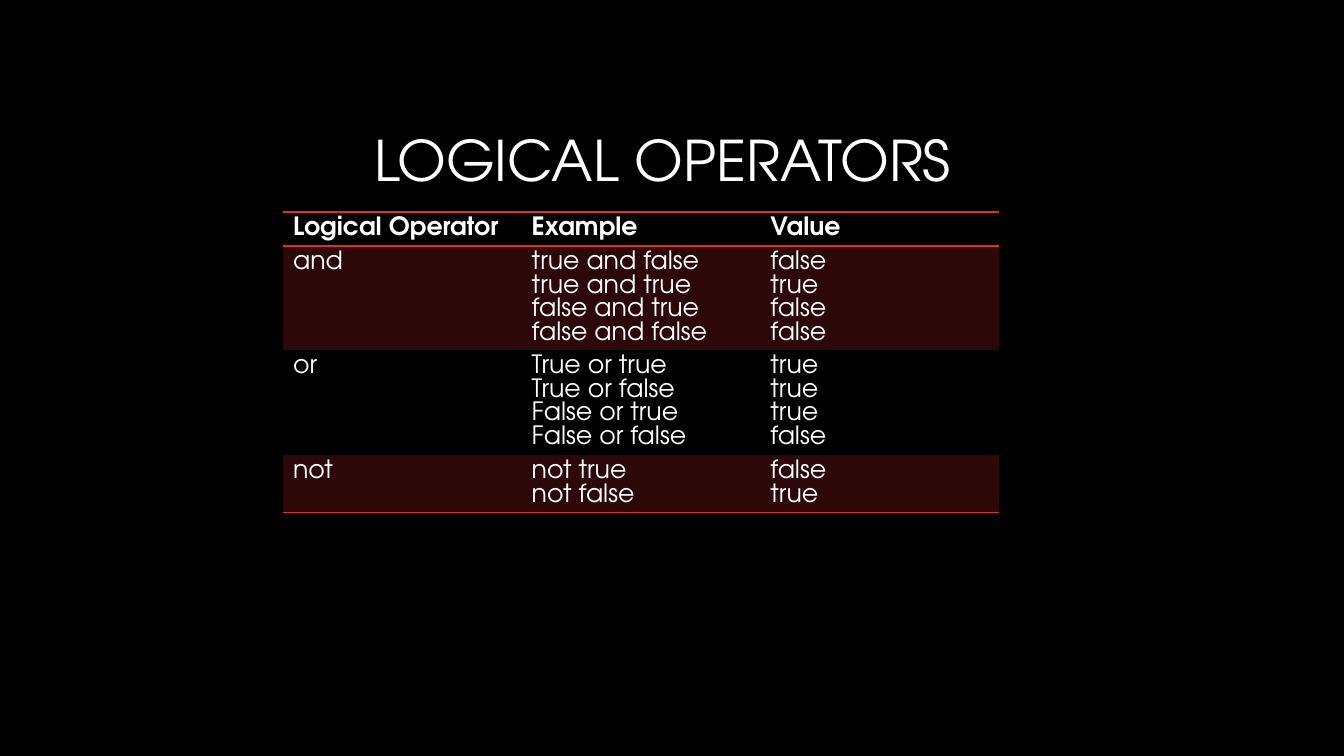
from lxml import etree
from pptx import Presentation
from pptx.dml.color import RGBColor
from pptx.enum.text import MSO_ANCHOR, MSO_AUTO_SIZE, PP_ALIGN
from pptx.oxml.ns import qn
from pptx.util import Emu, Pt

RIGHT, LEFT = PP_ALIGN.RIGHT, PP_ALIGN.LEFT
MIDDLE = MSO_ANCHOR.MIDDLE
NO_AUTOFIT = MSO_AUTO_SIZE.NONE

PX = 914400 / 100.8
FONT = "TeX Gyre Adventor"
BLACK, WHITE, RED = "000000", "FFFFFF", "DF2E28"
BAND_ALPHA = 20
PLAIN_TABLE = "{2D5ABB26-0587-4C30-8999-92F81FD0307C}"
TITLE_ONLY = 5

TITLE_BOX = (11, 92, 950, 142)
TABLE_BOX = (283, 212, 716, 300)
ROW_HEIGHTS = (34, 104, 105, 57)
ROWS = [
    (["Logical Operator"], ["Example"], ["Value"]),
    (["and"],
     ["true and false", "true and true", "false and true", "false and false"],
     ["false", "true", "false", "false"]),
    (["or"],
     ["True or true", "True or false", "False or true", "False or false"],
     ["true", "true", "true", "false"]),
    (["not"], ["not true", "not false"], ["false", "true"]),
]


def px(n):
    """Turn pixels into EMU."""
    return Emu(round(n * PX))


def rgb(color):
    """Turn a hex string into a colour."""
    return RGBColor.from_string(color)


def add_run(p, text, size, bold=False):
    """Add one white run to a paragraph."""
    r = p.add_run()
    r.text = text
    r.font.name = FONT
    r.font.size = Pt(size)
    r.font.bold = bold
    r.font.color.rgb = rgb(WHITE)


def add_title(s, box, text):
    """Place the right-aligned title in its placeholder."""
    sp = s.shapes.title
    sp.left, sp.top, sp.width, sp.height = map(px, box)
    tf = sp.text_frame
    tf.word_wrap = True
    tf.auto_size = NO_AUTOFIT
    tf.vertical_anchor = MIDDLE
    p = tf.paragraphs[0]
    p.alignment = RIGHT
    p.line_spacing = 0.9
    add_run(p, text, 40)


def add_border(cell, side):
    """Draw a thin red rule on one side of a cell."""
    tc_pr = cell._tc.get_or_add_tcPr()
    ln = etree.SubElement(tc_pr, qn(f"a:ln{side}"), w=str(Pt(1)))
    fill = etree.SubElement(ln, qn("a:solidFill"))
    etree.SubElement(fill, qn("a:srgbClr"), val=RED)


def fill_band(cell):
    """Fill a cell with translucent red."""
    cell.fill.solid()
    cell.fill.fore_color.rgb = rgb(RED)
    clr = cell._tc.tcPr.find(f"{qn('a:solidFill')}/{qn('a:srgbClr')}")
    etree.SubElement(clr, qn("a:alpha"), val=str(BAND_ALPHA * 1000))


def add_cell(cell, lines, header, banded, sides):
    """Write a cell's lines and set its borders and fill."""
    for side in sides:
        add_border(cell, side)
    if banded:
        fill_band(cell)
    else:
        cell.fill.background()
    tf = cell.text_frame
    for i, line in enumerate(lines):
        p = tf.add_paragraph() if i else tf.paragraphs[0]
        p.alignment = LEFT
        add_run(p, line, 18, header)


def add_operator_table(s, box, rows, heights):
    """Build the banded table of operators in equal columns."""
    n_cols, last = len(rows[0]), len(rows) - 1
    table = s.shapes.add_table(len(rows), n_cols, *map(px, box)).table
    table._tbl.tblPr.find(qn("a:tableStyleId")).text = PLAIN_TABLE
    for col in table.columns:
        col.width = px(box[2] / n_cols)
    for i, (row, height) in enumerate(zip(rows, heights)):
        table.rows[i].height = px(height)
        sides = {0: "TB", last: "B"}.get(i, "")
        for j, lines in enumerate(row):
            add_cell(table.cell(i, j), lines, i == 0, i % 2 == 1, sides)


def build_slide(prs):
    """Add the logical operators slide."""
    s = prs.slides.add_slide(prs.slide_layouts[TITLE_ONLY])
    s.background.fill.solid()
    s.background.fill.fore_color.rgb = rgb(BLACK)
    add_title(s, TITLE_BOX, "LOGICAL OPERATORS")
    add_operator_table(s, TABLE_BOX, ROWS, ROW_HEIGHTS)


prs = Presentation()
prs.slide_width, prs.slide_height = px(1344), px(756)
build_slide(prs)
prs.save("out.pptx")
